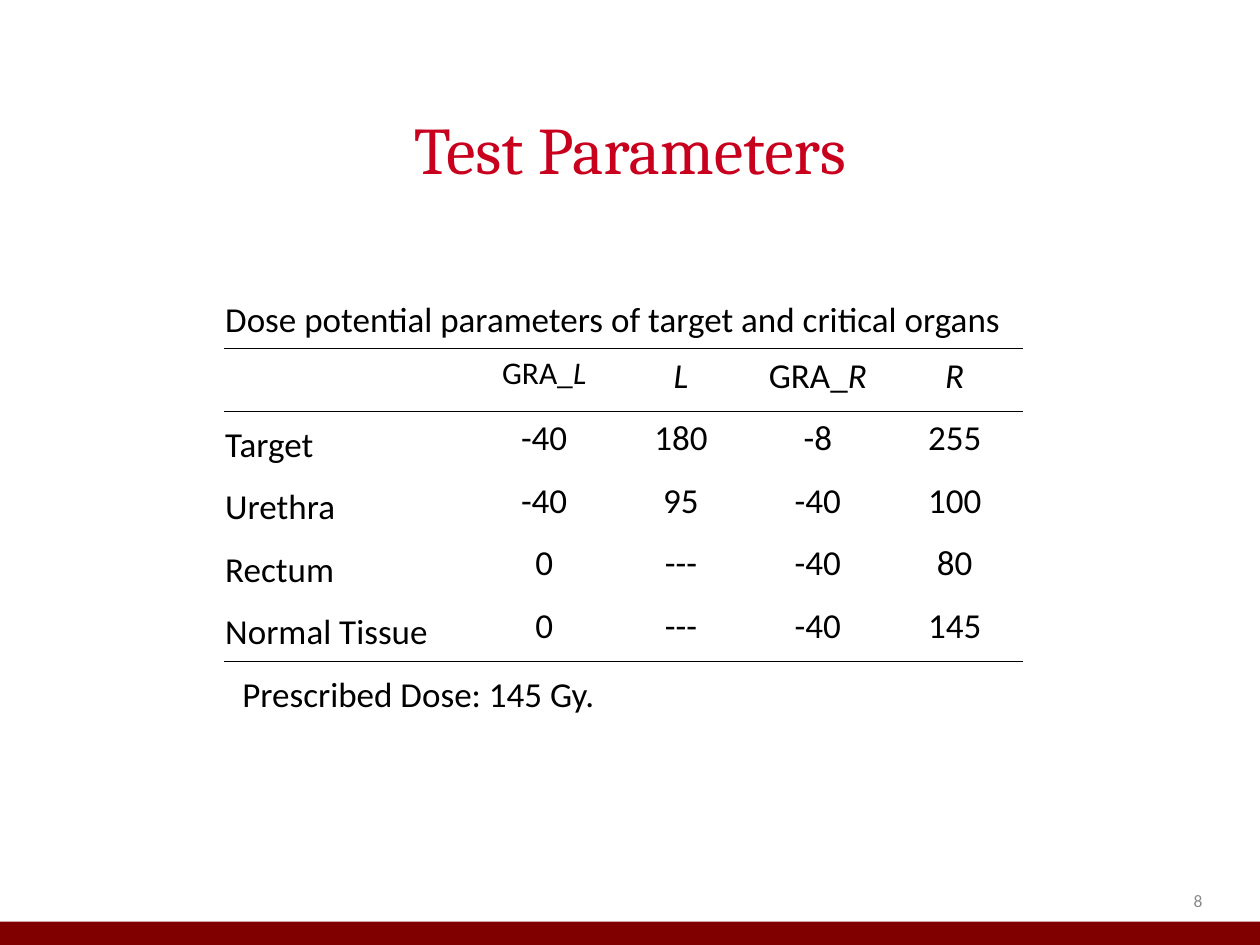
from lxml.etree import SubElement
from pptx import Presentation
from pptx.dml.color import RGBColor
from pptx.enum.shapes import MSO_SHAPE
from pptx.enum.text import MSO_ANCHOR, PP_ALIGN
from pptx.oxml.ns import qn
from pptx.util import Cm, Pt

COLOURS = {"title": "C8001E", "band": "800000", "ink": "000000", "number": "898989"}

# Text formats
TITLE = {"name": "Cambria", "size": Pt(38)}
NUMBER = {"name": "Calibri", "size": Pt(10)}
BODY = {"name": "Calibri", "size": Pt(20)}
SMALL = {**BODY, "size": Pt(18)}
ITALIC = {"italic": True}

# Table content: each cell is a list of (text, format) runs
CAPTION = "Dose potential parameters of target and critical organs"
FOOTNOTE = "Prescribed Dose: 145 Gy."
HEADINGS = [
    [],
    [("GRA_", SMALL), ("L", {**SMALL, **ITALIC})],
    [("L", {**BODY, **ITALIC})],
    [("GRA_", BODY), ("R", {**BODY, **ITALIC})],
    [("R", {**BODY, **ITALIC})],
]
ORGANS = [
    ["Target", "-40", "180", "-8", "255"],
    ["Urethra", "-40", "95", "-40", "100"],
    ["Rectum", "0", "---", "-40", "80"],
    ["Normal Tissue", "0", "---", "-40", "145"],
]


class SlideBuilder:
    def __init__(self, slide):
        self.slide = slide
        self.rule_width = Pt(0.23)
        self.cell_margins = {
            "margin_left": Cm(0.02), "margin_right": Cm(0.02),
            "margin_top": Cm(0.13), "margin_bottom": Cm(0.13),
        }

    def apply(self, target, values):
        for attribute, value in values.items():
            setattr(target, attribute, value)

    def add_runs(self, frame, runs, align, colour):
        paragraph = frame.paragraphs[0]
        paragraph.alignment = align
        for text, style in runs:
            run = paragraph.add_run()
            run.text = text
            self.apply(run.font, style)
            run.font.color.rgb = RGBColor.from_string(COLOURS[colour])

    def band(self, left, top, width, height):
        band = self.slide.shapes.add_shape(MSO_SHAPE.RECTANGLE, left, top, width, height)
        band.shadow.inherit = False
        band.fill.solid()
        band.fill.fore_color.rgb = RGBColor.from_string(COLOURS["band"])
        band.line.fill.background()

    def text(self, box, runs, align, colour, frame_format):
        frame = self.slide.shapes.add_textbox(*box).text_frame
        self.apply(frame, {"word_wrap": True, **frame_format})
        self.add_runs(frame, runs, align, colour)

    def borders(self, cell, ruled):
        """Draw a rule on the named sides and clear the others."""
        properties = cell._tc.get_or_add_tcPr()
        for index, side in enumerate(("lnL", "lnR", "lnT", "lnB")):
            line = SubElement(properties, qn(f"a:{side}"))
            properties.insert(index, line)
            if side in ruled:
                line.set("w", str(int(self.rule_width)))
                fill = SubElement(line, qn("a:solidFill"))
                SubElement(fill, qn("a:srgbClr")).set("val", COLOURS["ink"])
            else:
                SubElement(line, qn("a:noFill"))

    def table(self, left, top, widths, row_height, rows, ruled_rows, spans):
        """Rules run below ruled_rows; spans maps a row to its first cell's width."""
        table = self.slide.shapes.add_table(
            len(rows), len(widths), left, top, sum(widths), row_height * len(rows)
        ).table
        self.apply(table, {"first_row": False, "horz_banding": False})
        for column, width in zip(table.columns, widths):
            column.width = width
        for r, row in enumerate(rows):
            table.rows[r].height = row_height
            ruled = {"lnT"} if r - 1 in ruled_rows else set()
            if r in ruled_rows:
                ruled.add("lnB")
            for c, runs in enumerate(row):
                cell = table.cell(r, c)
                self.apply(cell, self.cell_margins)
                cell.vertical_anchor = MSO_ANCHOR.TOP if c else MSO_ANCHOR.BOTTOM
                cell.fill.background()
                self.borders(cell, ruled)
                centred = c > 0 or r == len(rows) - 1
                self.add_runs(cell.text_frame, runs,
                              PP_ALIGN.CENTER if centred else PP_ALIGN.LEFT, "ink")
        for r, span in spans.items():
            table.cell(r, 0).merge(table.cell(r, span - 1))


def main():
    deck = Presentation()
    deck.slide_width, deck.slide_height = Cm(25.4), Cm(19.05)
    builder = SlideBuilder(deck.slides.add_slide(deck.slide_layouts[6]))

    # Bottom band
    builder.band(Cm(0), Cm(18.58), Cm(25.45), Cm(0.5))

    # Title
    no_margins = dict.fromkeys(builder.cell_margins, Cm(0))
    builder.text((Cm(1.27), Cm(2.18), Cm(22.86), Cm(3.18)),
                 [("Test Parameters", TITLE)], PP_ALIGN.CENTER, "title", no_margins)

    # Slide number
    builder.text((Cm(18.57), Cm(17.65), Cm(5.92), Cm(1.02)),
                 [("8", NUMBER)], PP_ALIGN.RIGHT, "number",
                 {"vertical_anchor": MSO_ANCHOR.MIDDLE})

    # Parameter table
    widths = [Cm(5.07)] + [Cm(2.76)] * 4
    empty = [[]] * (len(widths) - 1)
    organ_rows = [[[(value, BODY)] for value in organ] for organ in ORGANS]
    rows = [[[(CAPTION, BODY)], *empty], HEADINGS, *organ_rows, [[(FOOTNOTE, BODY)], *empty]]
    last = len(rows) - 1
    builder.table(Cm(4.52), Cm(5.76), widths, Cm(1.26), rows,
                  ruled_rows={0, 1, last - 1}, spans={0: len(widths), last: 2})

    deck.save("out.pptx")


if __name__ == "__main__":
    main()
